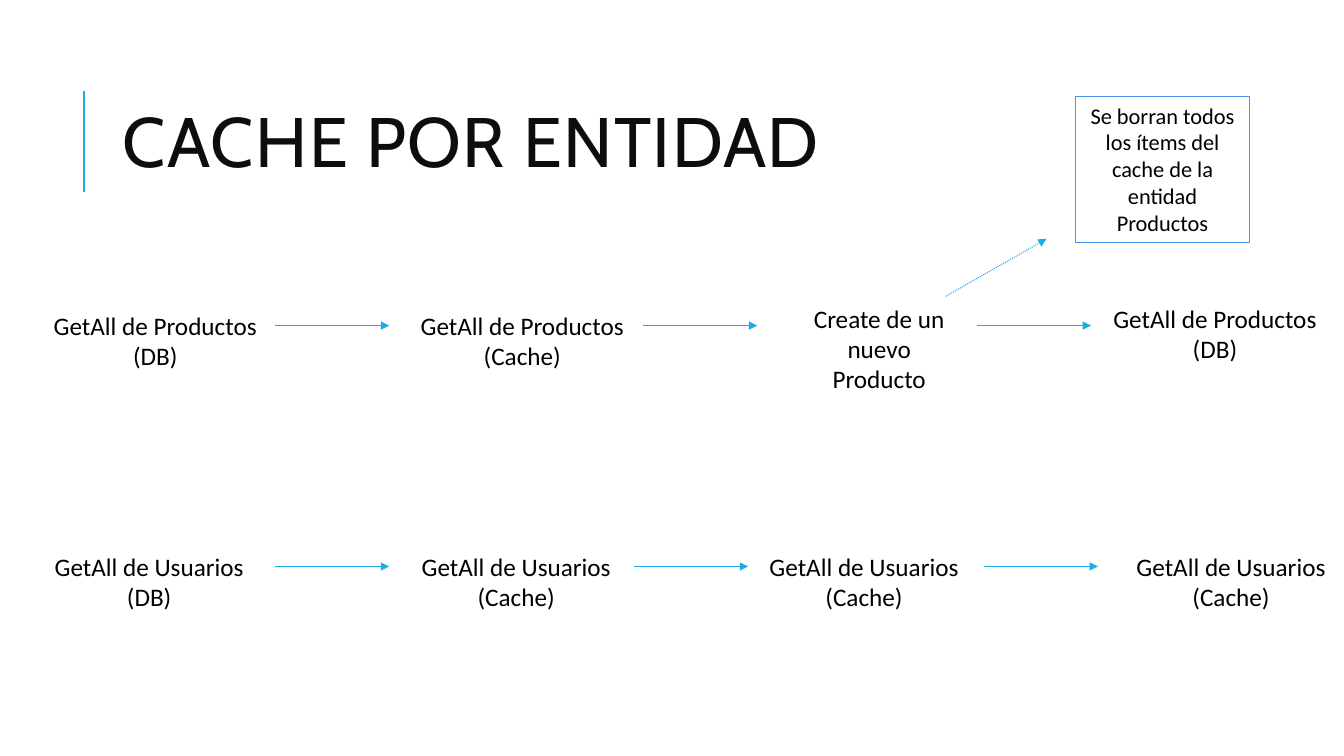
from lxml.etree import SubElement as Sub
from pptx import Presentation
from pptx.dml.color import RGBColor as Rgb
from pptx.enum.dml import MSO_LINE as Dash
from pptx.enum.shapes import MSO_CONNECTOR as Conn, MSO_SHAPE as Shape
from pptx.enum.text import MSO_ANCHOR as Anchor, PP_ALIGN as Align
from pptx.oxml.ns import qn
from pptx.util import Inches, Pt

HUES = {"line": "1CADE4", "edge": "4495E7", "title": "0D0D0D", "text": "000000"}
TITLE = "CACHE POR ENTIDAD"
NOTE = "Se borran todos los ítems del cache de la entidad Productos"
PROD, USER = 2.22, 2.1
STEPS = [
    ("GetAll de Productos\n(DB)", 0.43, 3.03, PROD),
    ("GetAll de Productos\v(Cache)", 4.07, 3.03, PROD),
    ("Create de un\nnuevo Producto", 7.86, 2.96, 1.72),
    ("GetAll de Productos\v(DB)", 10.94, 2.96, PROD),
    ("GetAll de Usuarios\n(DB)", 0.43, 5.42, USER),
    ("GetAll de Usuarios\v(Cache)", 4.07, 5.42, USER),
    ("GetAll de Usuarios\v(Cache)", 7.52, 5.42, USER),
    ("GetAll de Usuarios\v(Cache)", 11.16, 5.42, USER),
]
FLOWS = {3.23: (2.73, 6.38, 9.69), 5.62: (2.73, 6.29, 9.76)}
REACH = 1.13

deck = Presentation()
deck.slide_width, deck.slide_height = Inches(13.33), Inches(7.5)
slide = deck.slides.add_slide(deck.slide_layouts[6])
shapes = slide.shapes


def write(box, text, size, face="Calibri", hue="text", align=Align.CENTER, wrap=True):
    frame = box.text_frame
    frame.text = text
    frame.word_wrap = wrap
    for para in frame.paragraphs:
        para.alignment = align
        para.font.size = Pt(size)
        para.font.name = face
        para.font.color.rgb = Rgb.from_string(HUES[hue])
    return frame


def place(left, top, width, height):
    return shapes.add_textbox(*map(Inches, (left, top, width, height)))


def link(x1, y1, x2, y2, width=0.75, head=True):
    line = shapes.add_connector(Conn.STRAIGHT, *map(Inches, (x1, y1, x2, y2)))
    line.line.color.rgb = Rgb.from_string(HUES["line"])
    line.line.width = Pt(width)
    if head:
        Sub(line.line._get_or_add_ln(), qn("a:tailEnd"), type="triangle")
    Sub(line._element.spPr, qn("a:effectLst"))
    return line


link(0.83, 1.9, 0.83, 0.9, 1.5, False)
title = write(place(1.12, 0.64, 10.63, 1.64), TITLE, 50, "Cabin", "title", Align.LEFT)
title.vertical_anchor = Anchor.MIDDLE
head = title.paragraphs[0]
head.line_spacing = 0.8
head.runs[0]._r.get_or_add_rPr().set("spc", "100")

for text, left, top, width in STEPS:
    write(place(left, top, width, 0.71), text, 18, wrap=width < USER)

for y, starts in FLOWS.items():
    for x in starts:
        link(x, y, x + REACH, y)
link(9.38, 2.94, 10.38, 2.37).line.dash_style = Dash.ROUND_DOT

note = shapes.add_shape(Shape.RECTANGLE, *map(Inches, (10.67, 0.96, 1.72, 1.45)))
note.shadow.inherit = False
note.fill.background()
note.line.color.rgb = Rgb.from_string(HUES["edge"])
note.line.width = Pt(0.75)
write(note, NOTE, 16).vertical_anchor = Anchor.TOP

deck.save("out.pptx")
